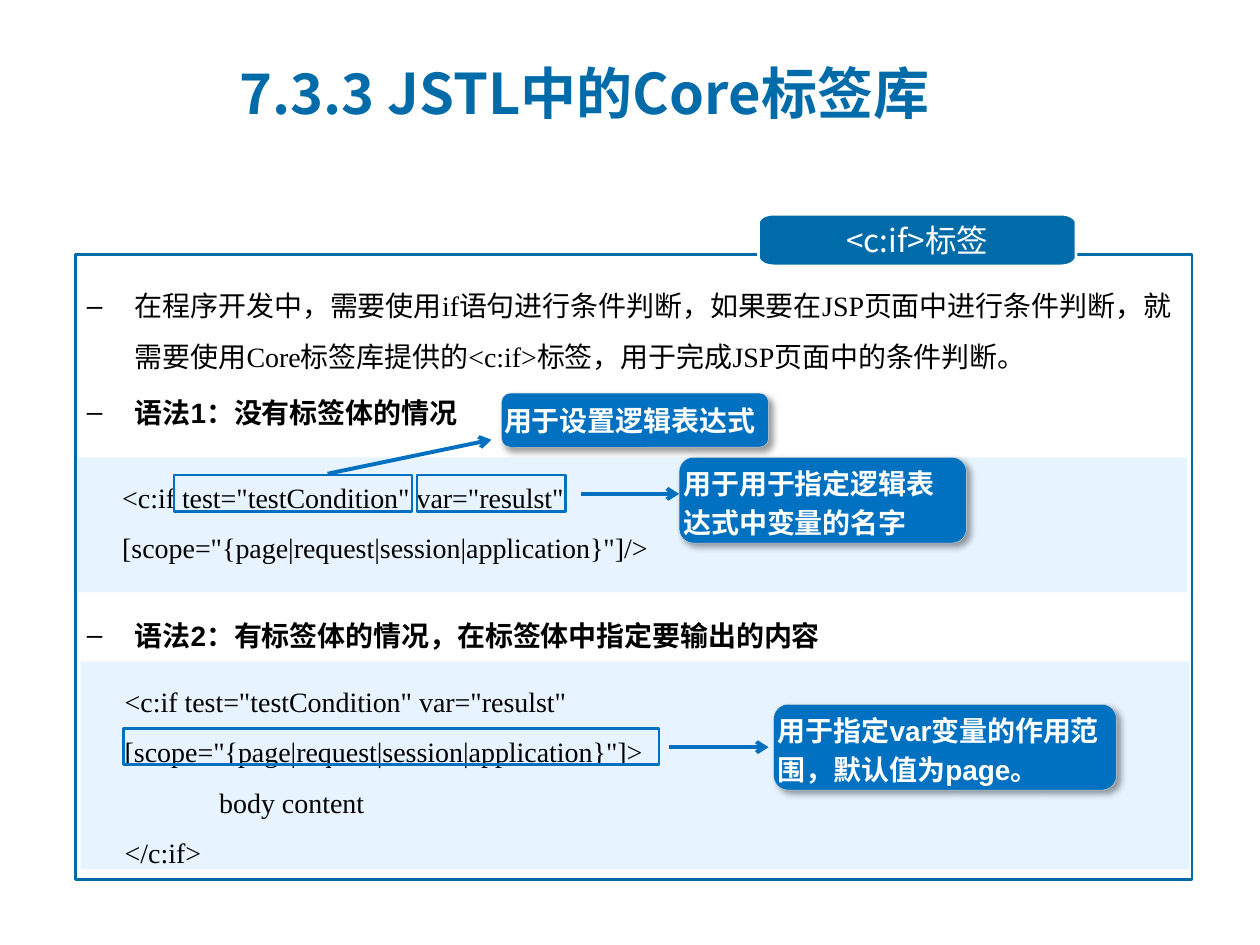
from math import cos, pi, sin

from pptx import Presentation
from pptx.dml.color import RGBColor
from pptx.enum.shapes import MSO_CONNECTOR, MSO_SHAPE as Shape
from pptx.enum.text import MSO_ANCHOR as Anchor, MSO_AUTO_SIZE as AutoSize, PP_ALIGN as Align
from pptx.oxml import parse_xml
from pptx.oxml.ns import nsdecls, qn
from pptx.util import Inches, Pt

COLUMNS, ROWS = 100, 75
SERIF = {"name": "Times New Roman", "size": Pt(16), "bold": False}
STRONG = {"name": "Arial", "size": Pt(16), "bold": True}
HEADING = {"name": "Noto Sans CJK SC", "size": Pt(32), "bold": True}
TAB = {"name": "Noto Sans CJK SC", "size": Pt(18), "bold": False}


def colour(value):
    """Turn a hex string into a colour."""
    return RGBColor.from_string(value)


def element(tag, attributes, inner=""):
    """Make one DrawingML element."""
    return parse_xml(f"<a:{tag} {nsdecls('a')} {attributes}>{inner}</a:{tag}>")


class SlideMaker:
    """Hold the style and the slide, and draw elements on a 100 by 75 grid."""

    main, accent, pale, edge = "006BA9", "0070C0", "E7F4FF", "D7D7D7"
    asian = "Noto Sans CJK SC"

    def __init__(self, deck):
        """Start a slide with a title and a body."""
        self.column = deck.slide_width / COLUMNS
        self.row = deck.slide_height / ROWS
        self.slide = deck.slides.add_slide(deck.slide_layouts[1])

    def grid(self, *lengths):
        """Turn alternating columns and rows into slide lengths."""
        return [round(n * (self.row if i % 2 else self.column)) for i, n in enumerate(lengths)]

    def place(self, shape, *area):
        """Move and size a shape."""
        for name, value in zip(("left", "top", "width", "height"), self.grid(*area)):
            setattr(shape, name, value)

    def frame(self, shape, **settings):
        """Set up the text frame of a shape."""
        frame = shape.text_frame
        values = {"word_wrap": True, "auto_size": AutoSize.NONE, **settings}
        for name, value in values.items():
            setattr(frame, name, value)
        return frame

    def add_text(self, para, text, font, ink="000000", **settings):
        """Put one formatted run into a paragraph."""
        for name, value in settings.items():
            setattr(para, name, value)
        span = para.add_run()
        span.text = text
        for name, value in font.items():
            setattr(span.font, name, value)
        span.font.color.rgb = colour(ink)
        span._r.get_or_add_rPr().append(element("ea", f'typeface="{self.asian}"'))

    def paint(self, shape, fill=None, line=None, width=1.5):
        """Set fill and outline, and drop the shadow."""
        shape.shadow.inherit = False
        if fill:
            shape.fill.solid()
            shape.fill.fore_color.rgb = colour(fill)
        else:
            shape.fill.background()
        if line:
            shape.line.color.rgb = colour(line)
            shape.line.width = Pt(width)
        else:
            shape.line.fill.background()
        return shape

    def box(self, *area, kind=Shape.RECTANGLE, **style):
        """Draw a preset shape."""
        return self.paint(self.slide.shapes.add_shape(kind, *self.grid(*area)), **style)

    def title(self, text, *area):
        """Fill the title placeholder."""
        holder = self.slide.shapes.title
        self.place(holder, *area)
        frame = self.frame(holder, vertical_anchor=Anchor.MIDDLE)
        self.add_text(frame.paragraphs[0], text, HEADING, self.main, alignment=Align.LEFT)

    def bullets(self, items, *area):
        """Fill the body placeholder with dashed items and their gaps."""
        holder = self.slide.placeholders[1]
        self.place(holder, *area)
        frame = self.frame(holder)
        for index, (text, font, gap) in enumerate(items):
            para = frame.add_paragraph() if index else frame.paragraphs[0]
            properties = para._p.get_or_add_pPr()
            properties.set("marL", str(Inches(0.38)))
            properties.set("indent", str(-Inches(0.38)))
            properties.append(element("buChar", 'char="–"'))
            self.add_text(para, text, font, line_spacing=1.5, space_before=Pt(gap))

    def code(self, lines, *area):
        """Draw a pale panel of code lines, each with its indent in columns."""
        panel = self.box(*area, fill=self.pale)
        frame = self.frame(panel, vertical_anchor=Anchor.TOP, margin_left=self.grid(3.5)[0])
        for index, (text, indent) in enumerate(lines):
            para = frame.add_paragraph() if index else frame.paragraphs[0]
            para._p.get_or_add_pPr().set("marL", str(self.grid(indent)[0]))
            self.add_text(para, text, SERIF, alignment=Align.LEFT, line_spacing=1.5)

    def callout(self, text, *area, spacing=None):
        """Draw a rounded note with a soft shadow."""
        note = self.box(*area, kind=Shape.ROUNDED_RECTANGLE, fill=self.accent, line=self.edge, width=0.25)
        shadow = f'blurRad="{Pt(4)}" dist="{Pt(3)}" dir="2700000" algn="tl" rotWithShape="0"'
        ink = '<a:srgbClr val="000000"><a:alpha val="40000"/></a:srgbClr>'
        note._element.spPr.find(qn("a:effectLst")).append(element("outerShdw", shadow, ink))
        frame = self.frame(note, vertical_anchor=Anchor.MIDDLE, margin_left=0, margin_right=0)
        self.add_text(frame.paragraphs[0], text, STRONG, "FFFFFF", alignment=Align.LEFT, line_spacing=spacing)

    def arrow(self, *ends):
        """Draw a straight arrow."""
        line = self.slide.shapes.add_connector(MSO_CONNECTOR.STRAIGHT, *self.grid(*ends))
        line.line.color.rgb = colour(self.accent)
        line.line.width = Pt(2.25)
        properties = line._element.spPr
        properties.find(qn("a:ln")).append(element("tailEnd", 'type="arrow"'))
        properties.append(element("effectLst", ""))

    def tab(self, text, left, top, width, height, across=1.2, down=0.7, steps=8):
        """Draw a label with elliptical corners."""
        points = []
        for quarter in range(4):
            x = left + (across if quarter in (1, 2) else width - across)
            y = top + (down if quarter in (2, 3) else height - down)
            for step in range(steps + 1):
                angle = (quarter + step / steps) * pi / 2
                points.append(self.grid(x + across * cos(angle), y + down * sin(angle)))
        builder = self.slide.shapes.build_freeform(*points[0])
        builder.add_line_segments(points[1:], close=True)
        label = self.paint(builder.convert_to_shape(), self.main, "FFFFFF")
        frame = self.frame(label, vertical_anchor=Anchor.MIDDLE)
        self.add_text(frame.paragraphs[0], text, TAB, "FFFFFF", alignment=Align.CENTER)


def main():
    """Build and save the slide on the c:if tag."""
    deck = Presentation()
    deck.slide_width, deck.slide_height = Inches(10), Inches(7.5)
    page = SlideMaker(deck)
    opening = '<c:if test="testCondition" var="resulst"'
    scope = '[scope="{page|request|session|application}"]'

    page.title("7.3.3 JSTL中的Core标签库", 18, 4.3, 67.8, 6.1)
    page.bullets([
        ("在程序开发中，需要使用if语句进行条件判断，如果要在JSP页面中进行条件判断，"
         "就需要使用Core标签库提供的<c:if>标签，用于完成JSP页面中的条件判断。", SERIF, 0),
        ("语法1：没有标签体的情况", STRONG, 3.2),
        ("语法2：有标签体的情况，在标签体中指定要输出的内容", STRONG, 98.6),
    ], 5.9, 21.1, 88.6, 40)
    page.box(6, 20.2, 88.6, 49.6, line=page.main)
    page.tab("<c:if>标签", 60.2, 17, 25.2, 4.1)

    page.code([(opening, 0), (scope + "/>", 0)], 6.2, 36.3, 88, 10.7)
    page.code([(opening, 0), (scope + ">", 0), ("body content", 7.5), ("</c:if>", 0)],
              6.4, 52.5, 88, 16.5)
    for left, top, width in ((13.8, 37.7, 18.9), (33.1, 37.7, 11.8), (9.8, 57.8, 42.5)):
        page.box(left, top, width, 2.9, line=page.accent)
    for ends in ((26, 37.6, 39, 34.9), (46.1, 39.2, 53.9, 39.2), (53.1, 59.3, 61, 59.3)):
        page.arrow(*ends)
    page.callout("用于设置逻辑表达式", 39.8, 31.2, 21.2, 4.3)
    page.callout("用于用于指定逻辑表达式中变量的名字", 53.9, 36.3, 22.8, 6.8, spacing=Pt(22))
    page.callout("用于指定var变量的作用范围，默认值为page。", 61.4, 55.9, 27.2, 6.8, spacing=Pt(22))
    deck.save("out.pptx")


if __name__ == "__main__":
    main()
